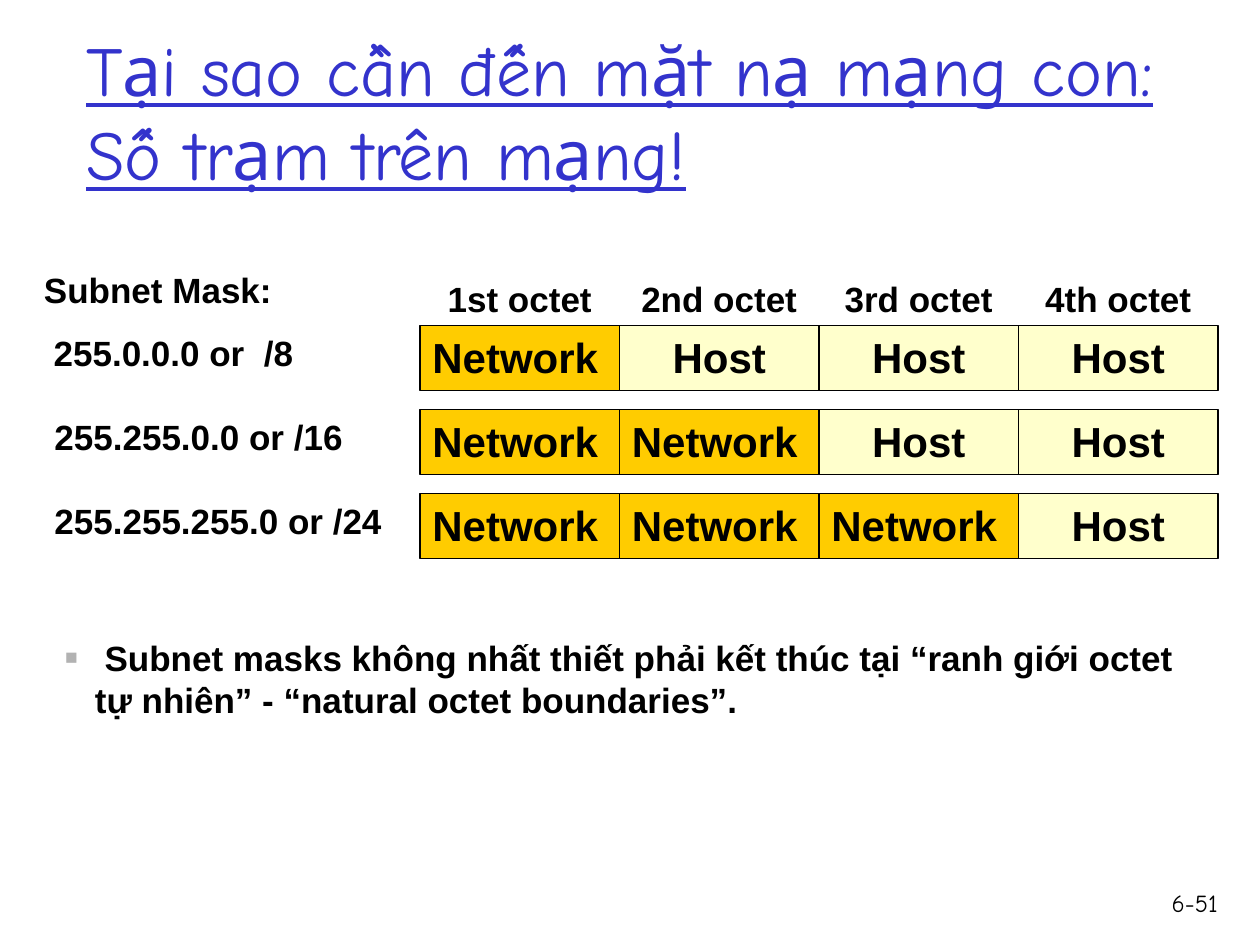
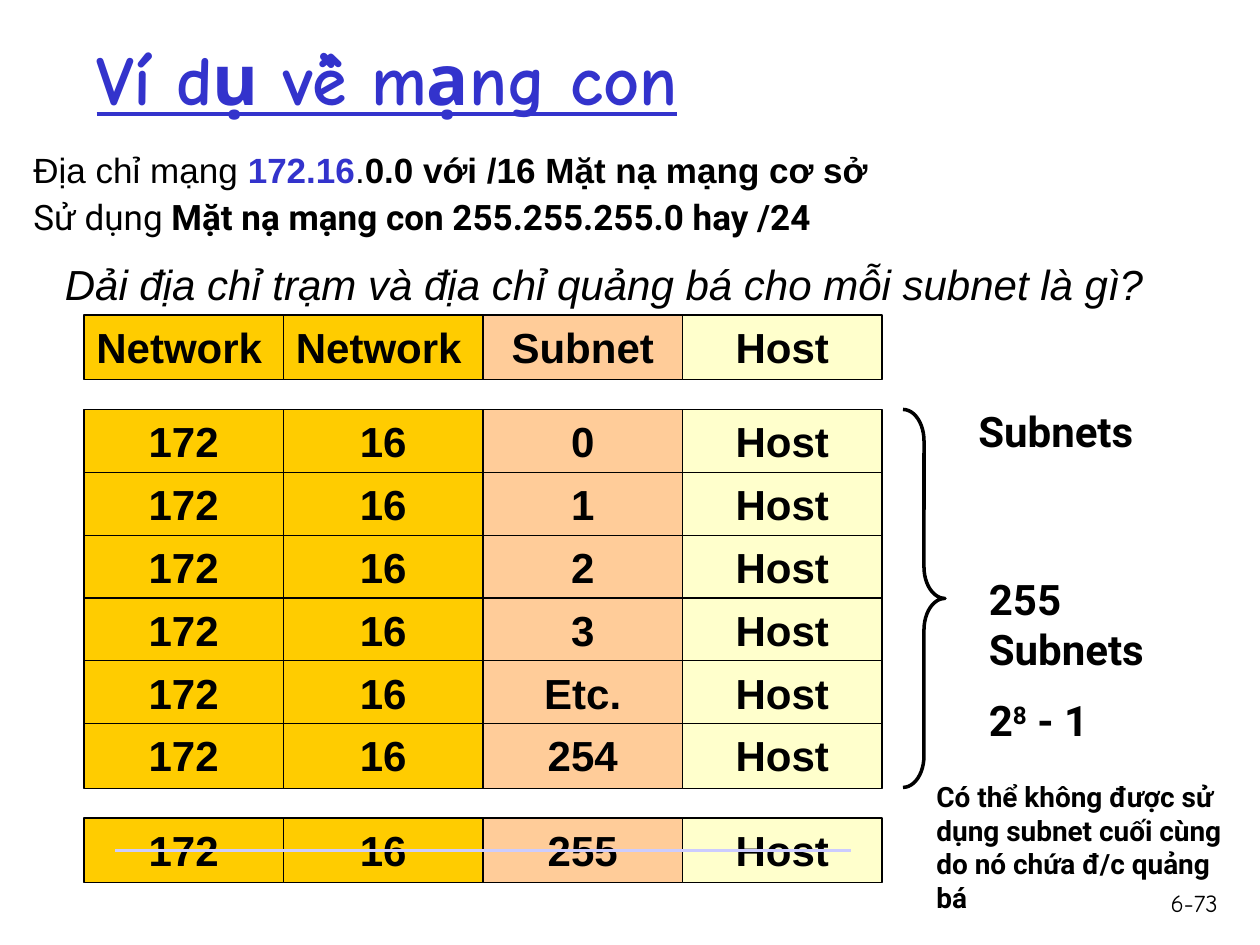
from dataclasses import dataclass
from typing import NamedTuple

from lxml.etree import SubElement
from pptx import Presentation
from pptx.dml.color import RGBColor
from pptx.enum.shapes import MSO_CONNECTOR, MSO_SHAPE
from pptx.enum.text import MSO_ANCHOR, MSO_AUTO_SIZE, PP_ALIGN
from pptx.oxml.ns import qn
from pptx.shapes.base import BaseShape
from pptx.slide import Slide
from pptx.text.text import TextFrame
from pptx.util import Pt

BLACK = RGBColor(0x00, 0x00, 0x00)
BLUE = RGBColor(0x33, 0x33, 0xCC)
LAVENDER = RGBColor(0xCC, 0xCC, 0xFF)
GREY = RGBColor(0xB2, 0xB2, 0xB2)
GOLD = RGBColor(0xFF, 0xCC, 0x00)
PEACH = RGBColor(0xFF, 0xCC, 0x99)
CREAM = RGBColor(0xFF, 0xFF, 0xCC)

HAND, SANS, ROBOTO = "Comic Neue", "Arial", "Roboto"
TITLE_AND_CONTENT, TITLE_ONLY = 1, 5
CELL_W, CELL_H = 114, 37
PARAGRAPH_GAP = 12


class Box(NamedTuple):
    left: float
    top: float
    width: float
    height: float


class Part(NamedTuple):
    text: str
    bold: bool = True
    italic: bool = False
    color: RGBColor = BLACK
    superscript: bool = False


@dataclass
class Label:
    box: Box
    paragraphs: list[list[Part]]
    size: float = 20
    font: str = SANS
    align: PP_ALIGN = PP_ALIGN.LEFT
    line_spacing: float = 1.0


@dataclass
class OctetRow:
    top: float
    texts: list[str]
    fills: list[RGBColor]


def place(shape: BaseShape, box: Box) -> None:
    shape.left, shape.top, shape.width, shape.height = map(Pt, box)


def write(tf: TextFrame, label: Label) -> None:
    tf.word_wrap = True
    tf.auto_size = MSO_AUTO_SIZE.NONE
    for i, parts in enumerate(label.paragraphs):
        p = tf.add_paragraph() if i else tf.paragraphs[0]
        p.alignment = label.align
        p.line_spacing = label.line_spacing
        p.space_before = Pt(PARAGRAPH_GAP if i else 0)
        for part in parts:
            r = p.add_run()
            r.text = part.text
            r.font.name, r.font.size = label.font, Pt(label.size)
            r.font.bold, r.font.italic = part.bold, part.italic
            r.font.color.rgb = part.color
            if part.superscript:
                r.font._element.set("baseline", "30000")


def add_label(s: Slide, label: Label) -> None:
    write(s.shapes.add_textbox(*map(Pt, label.box)).text_frame, label)


def add_slide(prs: Presentation, layout: int, title: str, box: Box,
              number: str, bold: bool = False) -> Slide:
    """Add a slide with its underlined title and its page number."""
    s = prs.slides.add_slide(prs.slide_layouts[layout])
    place(s.shapes.title, box)
    tf = s.shapes.title.text_frame
    tf.text = title
    tf.auto_size = MSO_AUTO_SIZE.NONE
    tf.vertical_anchor = MSO_ANCHOR.MIDDLE
    p = tf.paragraphs[0]
    p.alignment = PP_ALIGN.LEFT
    for r in p.runs:
        r.font.name, r.font.size = HAND, Pt(40)
        r.font.bold, r.font.underline = bold, True
        r.font.color.rgb = BLUE
    add_label(s, Label(Box(654, 504, 49, 36), [[Part(number, bold=False)]],
                       14, HAND, PP_ALIGN.RIGHT))
    return s


def add_octet_row(s: Slide, left: float, row: OctetRow) -> None:
    for i, (text, fill) in enumerate(zip(row.texts, row.fills)):
        box = Box(left + i * CELL_W, row.top, CELL_W, CELL_H)
        cell = s.shapes.add_shape(MSO_SHAPE.RECTANGLE, *map(Pt, box))
        cell.shadow.inherit = False
        cell.fill.solid()
        cell.fill.fore_color.rgb = fill
        cell.line.color.rgb = BLACK
        cell.line.width = Pt(0.75)
        cell.text_frame.vertical_anchor = MSO_ANCHOR.TOP
        align = PP_ALIGN.LEFT if text == "Network" else PP_ALIGN.CENTER
        write(cell.text_frame, Label(box, [[Part(text)]], 24, align=align))


def add_bullet_text(body: BaseShape, label: Label) -> None:
    place(body, label.box)
    write(body.text_frame, label)
    pPr = body.text_frame.paragraphs[0]._p.get_or_add_pPr()
    pPr.set("marL", str(Pt(17)))
    pPr.set("indent", str(-Pt(17)))
    color = SubElement(pPr, qn("a:buClr"))
    SubElement(color, qn("a:srgbClr"), val=str(GREY))
    SubElement(pPr, qn("a:buSzPct"), val="60000")
    SubElement(pPr, qn("a:buFont"), typeface=SANS)
    SubElement(pPr, qn("a:buChar"), char="■")


def build_mask_slide(prs: Presentation) -> None:
    s = add_slide(prs, TITLE_AND_CONTENT,
                  "Tại sao cần đến mặt nạ mạng con:\vSố trạm trên mạng!",
                  Box(42, 18, 631, 90), "6-51")
    left = 240
    for i, name in enumerate(["1st", "2nd", "3rd", "4th"]):
        network_octets = i + 1
        add_label(s, Label(Box(left + i * CELL_W, 155, CELL_W, 31),
                           [[Part(f"{name} octet")]], align=PP_ALIGN.CENTER))
        if network_octets < 4:
            host_octets = 4 - network_octets
            add_octet_row(s, left, OctetRow(
                186 + i * 48,
                ["Network"] * network_octets + ["Host"] * host_octets,
                [GOLD] * network_octets + [CREAM] * host_octets))

    masks = [
        Label(Box(18, 150, 192, 67),
              [[Part("Subnet Mask:")], [Part(" 255.0.0.0 or  /8")]]),
        Label(Box(24, 234, 192, 31), [[Part("255.255.0.0 or /16")]]),
        Label(Box(24, 282, 204, 31), [[Part("255.255.255.0 or /24")]]),
    ]
    for mask in masks:
        add_label(s, mask)
    add_bullet_text(s.placeholders[1], Label(Box(30, 360, 660, 55), [[
        Part(" Subnet masks không nhất thiết phải kết thúc tại “ranh giới "
             "octet tự nhiên” - “natural octet boundaries”.")]]))


def build_example_slide(prs: Presentation) -> None:
    s = add_slide(prs, TITLE_ONLY, "Ví dụ về mạng con",
                  Box(48, 9, 508, 70), "6-73", bold=True)
    fills = [GOLD, GOLD, PEACH, CREAM]
    left, first_top = 48, 234
    rows = [OctetRow(180, ["Network", "Network", "Subnet", "Host"], fills)]
    for i, subnet in enumerate(["0", "1", "2", "3", "Etc.", "254"]):
        rows.append(OctetRow(first_top + i * 35.9,
                             ["172", "16", subnet, "Host"], fills))
    rows.append(OctetRow(467.5, ["172", "16", "255", "Host"], fills))
    for row in rows:
        add_octet_row(s, left, row)

    brace = s.shapes.add_shape(MSO_SHAPE.RIGHT_BRACE, Pt(516), Pt(first_top),
                               Pt(24), Pt(216))
    brace.adjustments[0], brace.adjustments[1] = 0.75, 0.5
    brace.shadow.inherit = False
    brace.fill.background()
    brace.line.color.rgb = BLACK
    brace.line.width = Pt(2)

    strike = s.shapes.add_connector(MSO_CONNECTOR.STRAIGHT, Pt(66), Pt(486),
                                    Pt(486), Pt(486))
    strike.line.color.rgb = LAVENDER
    strike.line.width = Pt(2)
    SubElement(strike._element.spPr, qn("a:effectLst"))

    labels = [
        Label(Box(12, 84, 660, 24),
              [[Part("Địa chỉ mạng ", bold=False), Part("172.16", color=BLUE),
                Part(".", bold=False),
                Part("0.0 với /16 Mặt nạ mạng cơ sở")]], line_spacing=0.9),
        Label(Box(12, 108, 666, 31),
              [[Part("Sử dụng ", bold=False),
                Part("Mặt nạ mạng con 255.255.255.0 hay /24")]], font=ROBOTO),
        Label(Box(30, 144, 690, 29),
              [[Part("Dải địa chỉ trạm và địa chỉ quảng bá cho mỗi subnet "
                     "là gì?", bold=False, italic=True)]], 24),
        Label(Box(552, 228, 114, 36), [[Part("Subnets")]], 24, ROBOTO),
        Label(Box(558, 324, 114, 83),
              [[Part("255 Subnets")],
               [Part("2"), Part("8", superscript=True), Part(" - 1")]],
              24, ROBOTO),
        Label(Box(528, 442, 192, 85),
              [[Part("Có thể không được sử dụng subnet cuối cùng do nó chứa "
                     "đ/c quảng bá")]], 16, ROBOTO),
    ]
    for label in labels:
        add_label(s, label)


def main() -> None:
    prs = Presentation()
    prs.slide_width, prs.slide_height = Pt(720), Pt(540)
    build_mask_slide(prs)
    build_example_slide(prs)
    prs.save("out.pptx")


if __name__ == "__main__":
    main()
